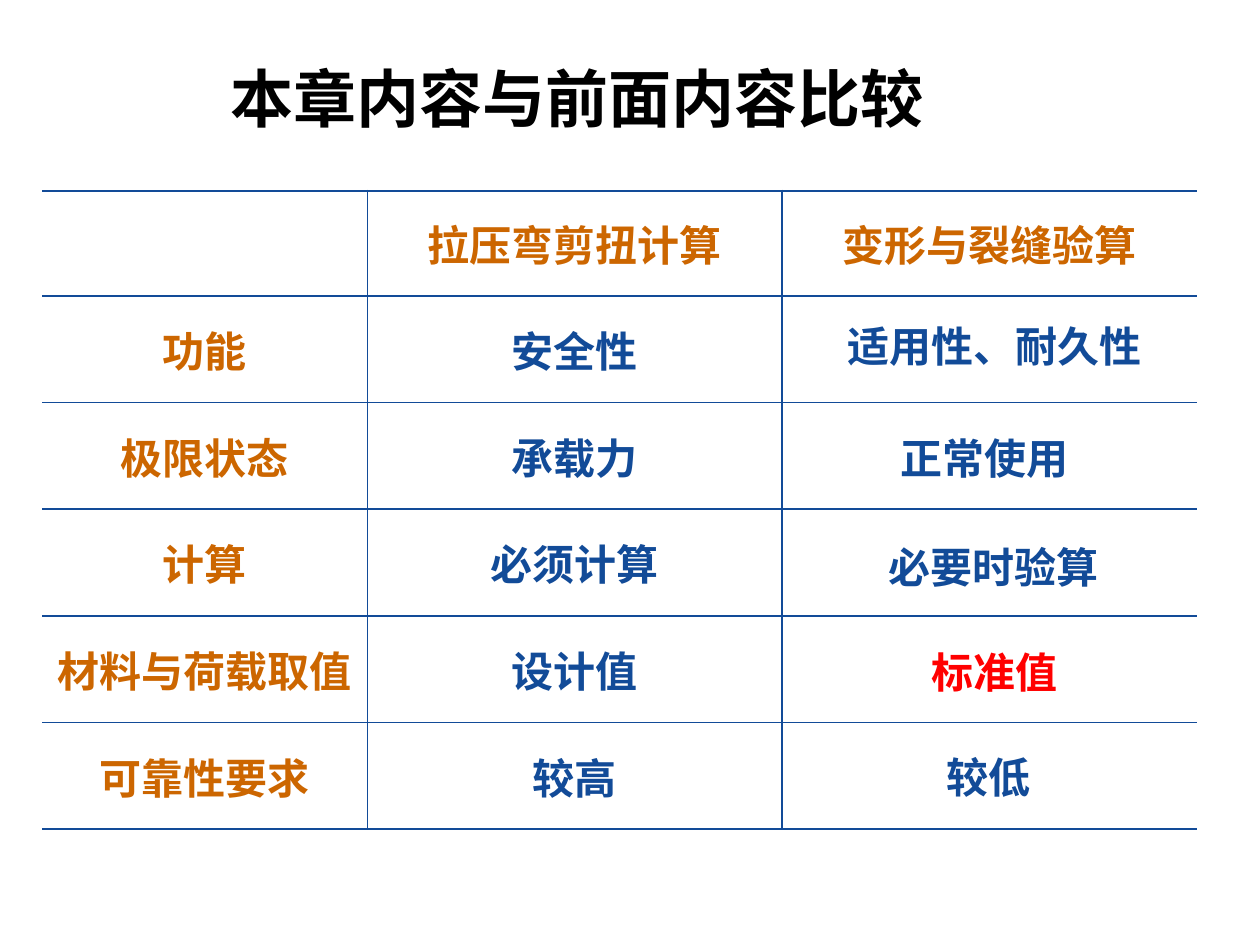
from dataclasses import dataclass

from lxml.etree import SubElement
from pptx import Presentation
from pptx.dml.color import RGBColor
from pptx.enum.text import MSO_ANCHOR as Anchor, MSO_AUTO_SIZE as AutoSize, PP_ALIGN as Align
from pptx.oxml.ns import qn
from pptx.util import Pt


@dataclass(frozen=True)
class Theme:
    title: str = "000000"
    label: str = "CC6600"
    value: str = "124B98"
    accent: str = "FF0000"
    title_size: int = 36
    text_size: int = 24
    inner_line: float = 1.08
    outer_line: float = 1.47
    title_font: str = "Times New Roman"
    table_font: str = "Arial"


THEME = Theme()

COLUMN_WIDTHS = [186, 237, 237]
ROW_HEIGHTS = [60] + [61] * 5
ROWS = [
    ["", "拉压弯剪扭计算", "变形与裂缝验算"],
    ["功能", "安全性", ""],
    ["极限状态", "承载力", ""],
    ["计算", "必须计算", ""],
    ["材料与荷载取值", "设计值", ""],
    ["可靠性要求", "较高", ""],
]

# text, centre, top, height, line spacing, colour
CHECK_VALUES = [
    ("适用性、耐久性", 568.5, 182.9, 33.1, 0.9, THEME.value),
    ("正常使用", 562.5, 243.6, 36, 1.0, THEME.value),
    ("必要时验算", 568, 306, 36, 1.0, THEME.value),
    ("标准值", 568.5, 365.8, 36, 1.0, THEME.accent),
    ("较低", 565, 429.1, 33.1, 0.9, THEME.value),
]


def write(tf, text, size, font, color):
    p = tf.paragraphs[0]
    p.text = text
    p.alignment = Align.CENTER
    p.font.size = Pt(size)
    p.font.name = font
    p.font.bold = True
    p.font.color.rgb = RGBColor.from_string(color)
    return p


def set_border(cell, side, width):
    """Draw one cell edge; a width of 0 hides it."""
    ln = SubElement(cell._tc.get_or_add_tcPr(), qn(f"a:ln{side}"), w=str(Pt(width)))
    if width:
        fill = SubElement(ln, qn("a:solidFill"))
        SubElement(fill, qn("a:srgbClr"), val=THEME.value)
    else:
        SubElement(ln, qn("a:noFill"))


def add_title(s, text):
    sp = s.shapes.title
    sp.left, sp.top, sp.width, sp.height = Pt(0), Pt(33.4), Pt(660), Pt(44.6)
    tf = sp.text_frame
    tf.auto_size = AutoSize.NONE
    tf.vertical_anchor = Anchor.MIDDLE
    write(tf, text, THEME.title_size, THEME.title_font, THEME.title)


def add_comparison_table(s):
    table = s.shapes.add_table(
        len(ROWS), len(COLUMN_WIDTHS), Pt(24), Pt(109),
        Pt(sum(COLUMN_WIDTHS)), Pt(sum(ROW_HEIGHTS))).table
    table.first_row = table.horz_banding = False
    for column, width in zip(table.columns, COLUMN_WIDTHS):
        column.width = Pt(width)
    for row, height in zip(table.rows, ROW_HEIGHTS):
        row.height = Pt(height)

    last_row, last_col = len(ROWS) - 1, len(COLUMN_WIDTHS) - 1
    for i, texts in enumerate(ROWS):
        for j, text in enumerate(texts):
            cell = table.cell(i, j)
            cell.vertical_anchor = Anchor.MIDDLE
            set_border(cell, "L", THEME.inner_line if j > 0 else 0)
            set_border(cell, "R", THEME.inner_line if j < last_col else 0)
            set_border(cell, "T", THEME.inner_line if i > 0 else THEME.outer_line)
            set_border(cell, "B", THEME.inner_line if i < last_row else THEME.outer_line)
            cell.fill.background()
            if text:
                color = THEME.label if i == 0 or j == 0 else THEME.value
                write(cell.text_frame, text, THEME.text_size, THEME.table_font, color)


def add_check_value(s, text, centre, top, height, spacing, color):
    """Add a one-line box, wide enough for its text and side insets."""
    width = len(text) * THEME.text_size + 18
    tf = s.shapes.add_textbox(
        Pt(centre - width / 2), Pt(top), Pt(width), Pt(height)).text_frame
    tf.word_wrap = False
    tf.auto_size = AutoSize.SHAPE_TO_FIT_TEXT
    p = write(tf, text, THEME.text_size, THEME.title_font, color)
    p.line_spacing = spacing


def main():
    prs = Presentation()
    prs.slide_width, prs.slide_height = Pt(720), Pt(540)
    s = prs.slides.add_slide(prs.slide_layouts.get_by_name("Title Only"))
    add_title(s, "本章内容与前面内容比较")
    add_comparison_table(s)
    for value in CHECK_VALUES:
        add_check_value(s, *value)
    prs.save("out.pptx")


if __name__ == "__main__":
    main()
